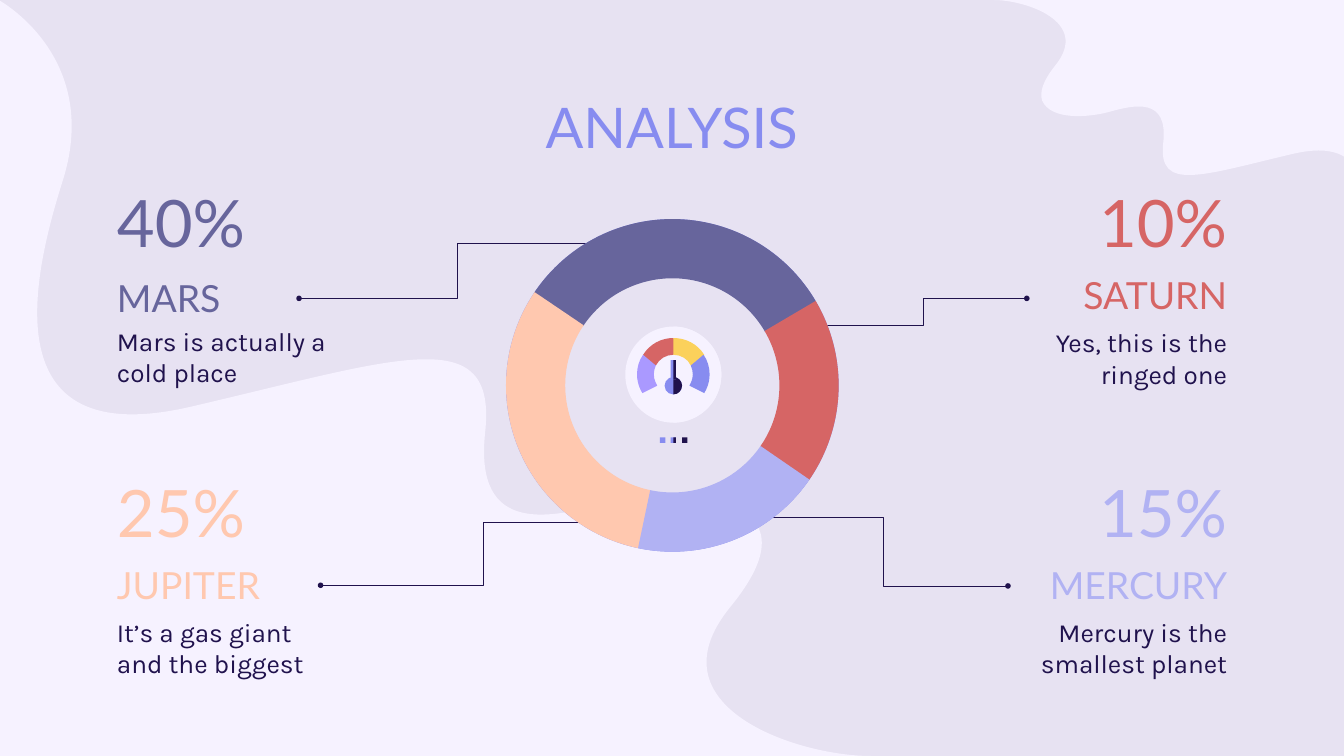
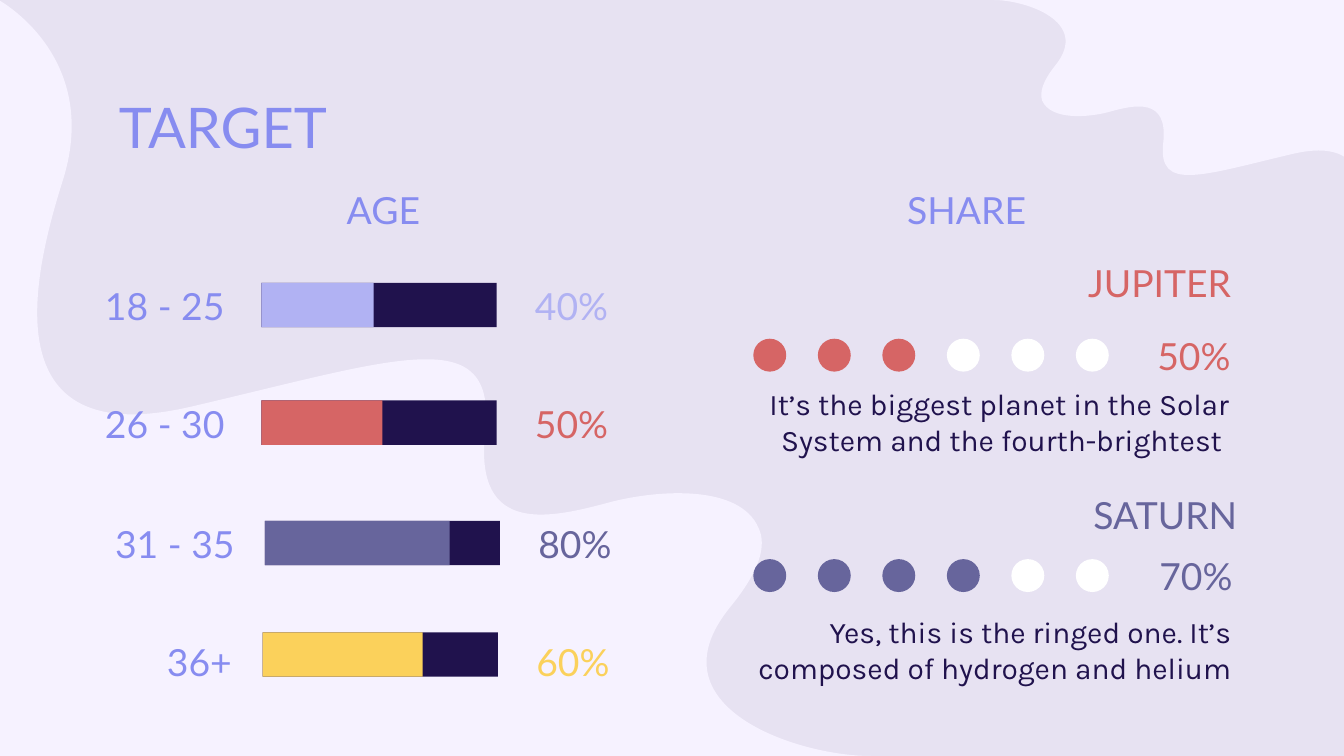
from lxml.etree import SubElement
from pptx import Presentation
from pptx.dml.color import RGBColor
from pptx.enum.shapes import MSO_CONNECTOR, MSO_SHAPE
from pptx.enum.text import MSO_ANCHOR, MSO_AUTO_SIZE, PP_ALIGN
from pptx.oxml.ns import qn
from pptx.util import Pt

PX = 9144  # 100 px to the inch
MARGIN = 20
LAVENDER, PALE, NAVY, BLUE = "E7E2F2", "F6F2FF", "20124D", "878CF0"
PURPLE, RED, LILAC, PEACH = "67659C", "D66565", "B1B2F3", "FFC8AF"
YELLOW, VIOLET, WHITE = "FBD15B", "AA99FF", "FFFFFF"
HEADING, BODY = "Lato", "Karla"
LEFT, CENTER, RIGHT = PP_ALIGN.LEFT, PP_ALIGN.CENTER, PP_ALIGN.RIGHT

# Each step is one point of a straight line or the three points of a curve.
TOP_BLOB = [
    ((2008, 379),),
    ((2027, 319), (2058, 198), (1924, 229)),
    ((1788, 261), (1723, 286), (1731, 213)),
    ((1739, 144), (1688, 156), (1649, 167)),
    ((1618, 175), (1564, 179), (1551, 150)),
    ((1547, 138), (1551, 122), (1570, 98)),
    ((1624, 32), (1526, 0), (1478, 0)),
    ((2051, 0),),
    ((2051, 496),),
    ((2051, 496), (1983, 460), (2008, 379)),
]
BOTTOM_BLOB = [
    ((94, 267),),
    ((51, 403), (-18, 676), (285, 605)),
    ((594, 533), (740, 477), (722, 643)),
    ((705, 799), (820, 771), (909, 747)),
    ((979, 729), (1101, 720), (1129, 786)),
    ((1141, 812), (1131, 849), (1087, 903)),
    ((965, 1052), (1187, 1125), (1296, 1125)),
    ((-2, 1125),),
    ((-2, 0),),
    ((-2, 0), (151, 83), (94, 267)),
]
# The dial's parts are measured from the top middle of the gauge.
DIAL_UPPER_LEFT = [
    ((0, 17),),
    ((-18, 17), (-35, 26), (-45, 42)),
    ((-44, 58),),
    ((-26, 58),),
    ((-21, 48), (-11, 42), (0, 42)),
    ((9, 30),),
]
DIAL_UPPER_RIGHT = [
    ((0, 17),),
    ((0, 42),),
    ((11, 42), (22, 48), (26, 58)),
    ((44, 58),),
    ((46, 42),),
    ((36, 26), (19, 17), (0, 17)),
]
DIAL_LOWER_LEFT = [
    ((-45, 42),),
    ((-51, 50), (-54, 61), (-54, 71)),
    ((-54, 87), (-47, 97), (-46, 99)),
    ((-24, 88),),
    ((-25, 85), (-29, 80), (-29, 71)),
    ((-29, 67), (-28, 62), (-26, 58)),
]
DIAL_LOWER_RIGHT = [tuple((-x, y) for x, y in step) for step in DIAL_LOWER_LEFT]


def color(hex_string):
    return RGBColor.from_string(hex_string)


def emu(*lengths):
    return [round(length * PX) for length in lengths]


def set_all(target, values):
    for name, value in values.items():
        setattr(target, name, value)


def paint(shape, fill):
    """Give a flat fill with no outline or shadow."""
    shape.shadow.inherit = False
    shape.fill.solid()
    shape.fill.fore_color.rgb = color(fill)
    shape.line.fill.background()


def add_shape(shapes, kind, box, fill, adjustments=()):
    shape = shapes.add_shape(kind, *emu(*box))
    for index, value in enumerate(adjustments):
        shape.adjustments[index] = value
    paint(shape, fill)


def add_outline(shapes, steps, fill, left=0, top=0):
    """Build a freeform, joining each step of three points into one curve."""
    points = [emu(left + x, top + y) for step in steps for x, y in step]
    builder = shapes.build_freeform(*points[0], scale=1.0)
    builder.add_line_segments(points[1:], close=True)
    shape = builder.convert_to_shape()
    outline = next(shape.element.iter(qn("a:path")))
    lines = iter(outline.findall(qn("a:lnTo")))
    for step in steps[1:]:
        first, *others = [next(lines) for _ in step]
        if others:
            first.tag = qn("a:cubicBezTo")
        for line in others:
            first.append(line[0])
            outline.remove(line)
    paint(shape, fill)
    return shape


def write(shape, text, size, fill, font=HEADING, align=LEFT, anchor=MSO_ANCHOR.MIDDLE):
    frame = shape.text_frame
    margin = MARGIN * PX
    set_all(frame, {
        "word_wrap": True, "auto_size": MSO_AUTO_SIZE.NONE, "vertical_anchor": anchor,
        "margin_left": margin, "margin_top": margin,
        "margin_right": margin, "margin_bottom": margin,
    })
    paragraph = frame.paragraphs[0]
    paragraph.alignment = align
    run = paragraph.add_run()
    run.text = text
    set_all(run.font, {"name": font, "size": Pt(size)})
    run.font.color.rgb = color(fill)


def add_text(slide, box, text, size, fill, **style):
    write(slide.shapes.add_textbox(*emu(*box)), text, size, fill, **style)


def add_body(slide, box, text, size, align):
    add_text(slide, box, text, size, NAVY, font=BODY, align=align, anchor=MSO_ANCHOR.TOP)


def add_title(slide, text, align):
    title = slide.shapes.title
    set_all(title, dict(zip(("left", "top", "width", "height"), emu(157, 118, 1685, 125))))
    write(title, text, 60, BLUE, align=align, anchor=MSO_ANCHOR.TOP)


def add_layout_blobs(layout, slide):
    """Build the blobs on a slide and move them to its layout."""
    for steps in (BOTTOM_BLOB, TOP_BLOB):
        blob = add_outline(slide.shapes, steps, PALE)
        layout.shapes.element.insert(2, blob.element)


def add_leader(slide, begin, end):
    """Draw an elbow line with a dot at its beginning."""
    leader = slide.shapes.add_connector(MSO_CONNECTOR.ELBOW, *emu(*begin, *end))
    leader.line.width = Pt(0.75)
    leader.line.color.rgb = color(NAVY)
    properties = leader.element.spPr
    SubElement(properties.find(qn("a:ln")), qn("a:headEnd"), type="oval")
    SubElement(properties, qn("a:effectLst"))


def add_planet(slide, align, tops, share, name, text, fill):
    widths = (299, 602, 370) if align == LEFT else (299, 401, 363)
    lefts = [154 if align == LEFT else 1846 - width for width in widths]
    boxes = list(zip(lefts, tops, widths, (146, 78, 156)))
    add_text(slide, boxes[0], share, 70, fill, align=align)
    add_text(slide, boxes[1], name, 40, fill, align=align)
    add_body(slide, boxes[2], text, 28, align)


def add_ring(slide, left, top, size):
    box = (left, top, size, size)
    add_shape(slide.shapes, MSO_SHAPE.DONUT, box, BLUE, (0.176,))
    segments = [(PURPLE, 213.6, 329.8), (PEACH, 101.7, 214.1),
                (RED, 329.5, 34.9), (LILAC, 34.5, 101.9)]
    for fill, start, end in segments:
        add_shape(slide.shapes, MSO_SHAPE.BLOCK_ARC, box, fill,
                  (start * 0.6, end * 0.6, 0.178))


def add_split_disc(shapes, middle, top, size, fill, right_fill):
    radius = size / 2
    bend = radius * 0.55
    add_shape(shapes, MSO_SHAPE.OVAL, (middle - radius, top, size, size), fill)
    right_half = [
        ((0, 0),),
        ((bend, 0), (radius, radius - bend), (radius, radius)),
        ((radius, radius + bend), (bend, size), (0, size)),
    ]
    add_outline(shapes, right_half, right_fill, middle, top)


def add_gauge(slide, middle, top):
    shapes = slide.shapes.add_group_shape().shapes
    add_split_disc(shapes, middle, top, 143, PALE, PALE)
    for steps, fill in [(DIAL_UPPER_LEFT, RED), (DIAL_UPPER_RIGHT, YELLOW),
                        (DIAL_LOWER_LEFT, VIOLET), (DIAL_LOWER_RIGHT, BLUE)]:
        add_outline(shapes, steps, fill, middle, top)
    add_split_disc(shapes, middle, top + 75, 26, BLUE, NAVY)
    bars = [(-4, 50, 8, 29, BLUE), (0, 50, 4, 29, NAVY),
            (-20, 165, 8, 8, BLUE), (-4, 165, 8, 8, BLUE),
            (0, 165, 4, 8, NAVY), (13, 165, 8, 8, NAVY)]
    for x, y, width, height, fill in bars:
        add_shape(shapes, MSO_SHAPE.RECTANGLE, (middle + x, top + y, width, height), fill)


def build_analysis(slide):
    add_title(slide, "ANALYSIS", CENTER)
    planets = [
        (LEFT, (257, 404, 464), "40%", "MARS", "Mars is actually a cold place", PURPLE),
        (RIGHT, (256, 399, 466), "10%", "SATURN", "Yes, this is the ringed one", RED),
        (LEFT, (688, 831, 897), "25%", "JUPITER", "It’s a gas giant and the biggest", PEACH),
        (RIGHT, (688, 831, 897), "15%", "MERCURY", "Mercury is the smallest planet", LILAC),
    ]
    for planet in planets:
        add_planet(slide, *planet)
    leaders = [((445, 444), (917, 362)), ((1528, 444), (1219, 484)),
               ((477, 871), (962, 777)), ((1500, 872), (1128, 770))]
    for begin, end in leaders:
        add_leader(slide, begin, end)
    add_ring(slide, 753, 326, 495)
    add_gauge(slide, 1002, 486)


def add_age_row(slide, left, top, filled, label_gap, text_drop, age, share, fill):
    text_top = top + text_drop
    add_text(slide, (left - label_gap - 250, text_top, 250, 58), age, 40, BLUE, align=RIGHT)
    for width, bar_fill in ((350, NAVY), (filled, fill)):
        add_shape(slide.shapes, MSO_SHAPE.RECTANGLE, (left, top, width, 66), bar_fill)
    add_text(slide, (left + 387, text_top, 168, 58), share, 40, fill)


def add_share(slide, right, top, name_right, name_rise, body_drop, dots, name, share, text, fill):
    """Place a planet's name, six dots, share and text; top is that of the dots."""
    add_text(slide, (name_right - 400, top - name_rise, 400, 78), name, 40, fill, align=RIGHT)
    for index in range(6):
        add_shape(slide.shapes, MSO_SHAPE.OVAL, (1121 + 96 * index, top, 49, 49),
                  fill if index < dots else WHITE)
    add_text(slide, (right - 166, top - 4, 167, 58), share, 40, fill, align=RIGHT)
    add_body(slide, (right - 791, top + body_drop, 791, 135), text, 32, RIGHT)


def build_target(slide):
    add_title(slide, "TARGET", LEFT)
    for left, heading in ((403, "AGE"), (1271, "SHARE")):
        add_text(slide, (left, 274, 335, 77), heading, 40, BLUE, align=CENTER)
    age_rows = [
        (389, 421, 167, 35, 5, "18 - 25", "40%", LILAC),
        (389, 596, 180, 35, 5, "26 - 30", "50%", RED),
        (394, 775, 275, 25, 5, "31 - 35", "80%", PURPLE),
        (391, 941, 238, 26, 14, "36+", "60%", YELLOW),
    ]
    for row in age_rows:
        add_age_row(slide, *row)
    add_share(slide, 1850, 504, 1852, 122, 50, 3, "JUPITER", "50%",
              "It’s the biggest planet in the Solar System and the fourth-brightest ", RED)
    add_share(slide, 1853, 832, 1861, 105, 61, 4, "SATURN", "70%",
              "Yes, this is the ringed one. It’s composed of hydrogen and helium", PURPLE)


def main():
    presentation = Presentation()
    presentation.slide_width, presentation.slide_height = emu(2000, 1125)
    layout = presentation.slide_layouts[5]
    layout.background.fill.solid()
    layout.background.fill.fore_color.rgb = color(LAVENDER)
    analysis, target = [presentation.slides.add_slide(layout) for _ in range(2)]
    add_layout_blobs(layout, analysis)
    build_analysis(analysis)
    build_target(target)
    presentation.save("out.pptx")


if __name__ == "__main__":
    main()
